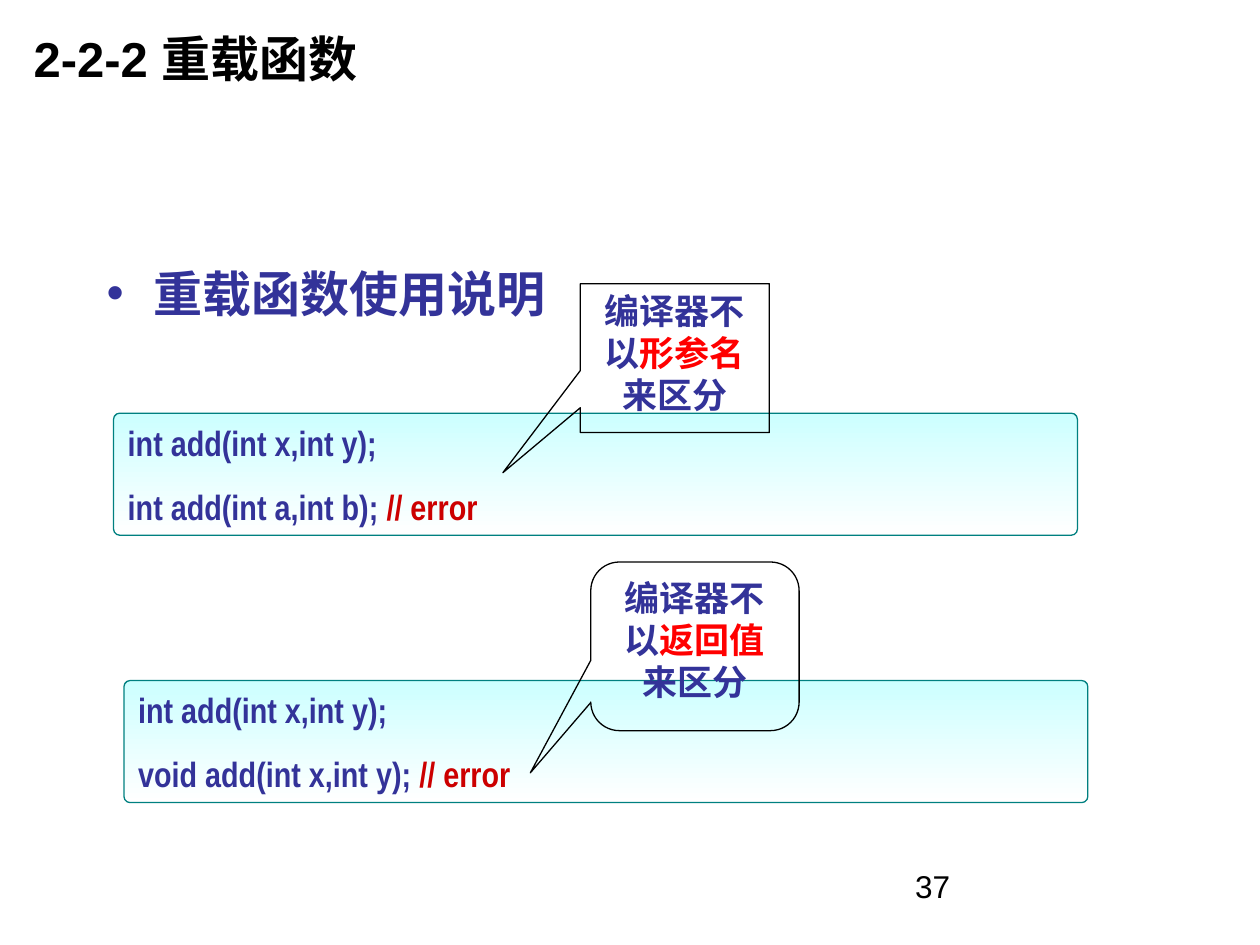
import pptx
import pptx.util
import pptx.dml.color
import pptx.enum.shapes
import pptx.enum.text
import pptx.oxml
import pptx.oxml.ns

Cm = pptx.util.Cm
Pt = pptx.util.Pt
RGB = pptx.dml.color.RGBColor
SHAPE = pptx.enum.shapes.MSO_SHAPE
ALIGN = pptx.enum.text.PP_ALIGN
ANCHOR = pptx.enum.text.MSO_ANCHOR

BLACK = RGB(0x00, 0x00, 0x00)
WHITE = RGB(0xFF, 0xFF, 0xFF)
NAVY = RGB(0x33, 0x33, 0x99)
RED = RGB(0xFF, 0x00, 0x00)
BRICK = RGB(0xCC, 0x00, 0x00)
TEAL = RGB(0x00, 0x80, 0x80)
AQUA = RGB(0xCC, 0xFF, 0xFF)


def write(shape, lines, font="Arial", size=20, color=NAVY, bold=True,
          align=ALIGN.LEFT, anchor=ANCHOR.TOP, gap=0, bullet=False):
    """Fill a shape; each line is a list of (text, colour or None)."""
    frame = shape.text_frame
    frame.word_wrap = True
    frame.vertical_anchor = anchor
    for i, line in enumerate(lines):
        para = frame.add_paragraph() if i else frame.paragraphs[0]
        para.alignment = align
        if i:
            para.space_before = Pt(gap)
        if bullet:
            add_bullet(para)
        for text, tint in line:
            run = para.add_run()
            run.text = text
            run.font.name = font
            run.font.size = Pt(size)
            run.font.bold = bold
            run.font.color.rgb = tint or color


def add_bullet(para):
    props = para._p.get_or_add_pPr()
    props.set("marL", str(Cm(0.95)))
    props.set("indent", str(-Cm(0.95)))
    space = pptx.oxml.ns.nsdecls("a")
    for xml in (f'<a:buClr {space}><a:srgbClr val="{NAVY}"/></a:buClr>',
                f'<a:buFont {space} typeface="Arial"/>',
                f'<a:buChar {space} char="•"/>'):
        props.append(pptx.oxml.parse_xml(xml))


def add_text(slide, box, text, **style):
    shape = slide.shapes.add_textbox(*map(Cm, box))
    write(shape, [[(text, None)]], **style)


def add_shape(slide, kind, box, adjust, edge):
    shape = slide.shapes.add_shape(kind, *map(Cm, box))
    shape.shadow.inherit = False
    for i, value in enumerate(adjust):
        shape.adjustments[i] = value
    shape.line.color.rgb = edge
    shape.line.width = Pt(0.75)
    return shape


def add_code(slide, left, top, first, second):
    panel = add_shape(slide, SHAPE.ROUNDED_RECTANGLE,
                      (left, top, 19.43, 2.46), [0.05], TEAL)
    panel.fill.gradient()
    panel.fill.gradient_angle = 270
    for stop, tint in zip(panel.fill.gradient_stops, (AQUA, WHITE)):
        stop.color.rgb = tint
    lines = [[(first, None)], [(second, None), ("// error", BRICK)]]
    write(panel, lines, font="Arial Narrow", gap=12.5)


def add_note(slide, kind, box, adjust, key):
    note = add_shape(slide, kind, box, adjust, BLACK)
    note.fill.background()
    line = [("编译器不以", None), (key, RED), ("来区分", None)]
    write(note, [line], font="Arial Narrow", align=ALIGN.CENTER)


def main():
    deck = pptx.Presentation()
    deck.slide_width, deck.slide_height = Cm(25.4), Cm(19.05)
    slide = deck.slides.add_slide(deck.slide_layouts[6])

    # Title and topic
    add_text(slide, (0.43, 0, 19.05, 2.34), "2-2-2 重载函数",
             size=28, color=BLACK, anchor=ANCHOR.MIDDLE)
    add_text(slide, (1.9, 5.19, 21.6, 11.75), "重载函数使用说明",
             size=28, bullet=True)

    # Parameter names do not tell overloads apart
    add_code(slide, 2.29, 8.33, "int add(int x,int y);",
             "int add(int a,int b); ")
    add_note(slide, SHAPE.RECTANGULAR_CALLOUT, (11.7, 5.72, 3.81, 3),
             [-0.91, 0.77], "形参名")

    # Return types do not tell overloads apart
    add_code(slide, 2.5, 13.72, "int add(int x,int y);",
             "void add(int x,int y); ")
    add_note(slide, SHAPE.ROUNDED_RECTANGULAR_CALLOUT,
             (11.91, 11.33, 4.2, 3.4), [-0.79, 0.75, 0.17], "返回值")

    # Page number
    add_text(slide, (18.2, 17.35, 5.93, 1.32), "37",
             size=18, color=BLACK, bold=False)

    deck.save("out.pptx")


if __name__ == "__main__":
    main()
